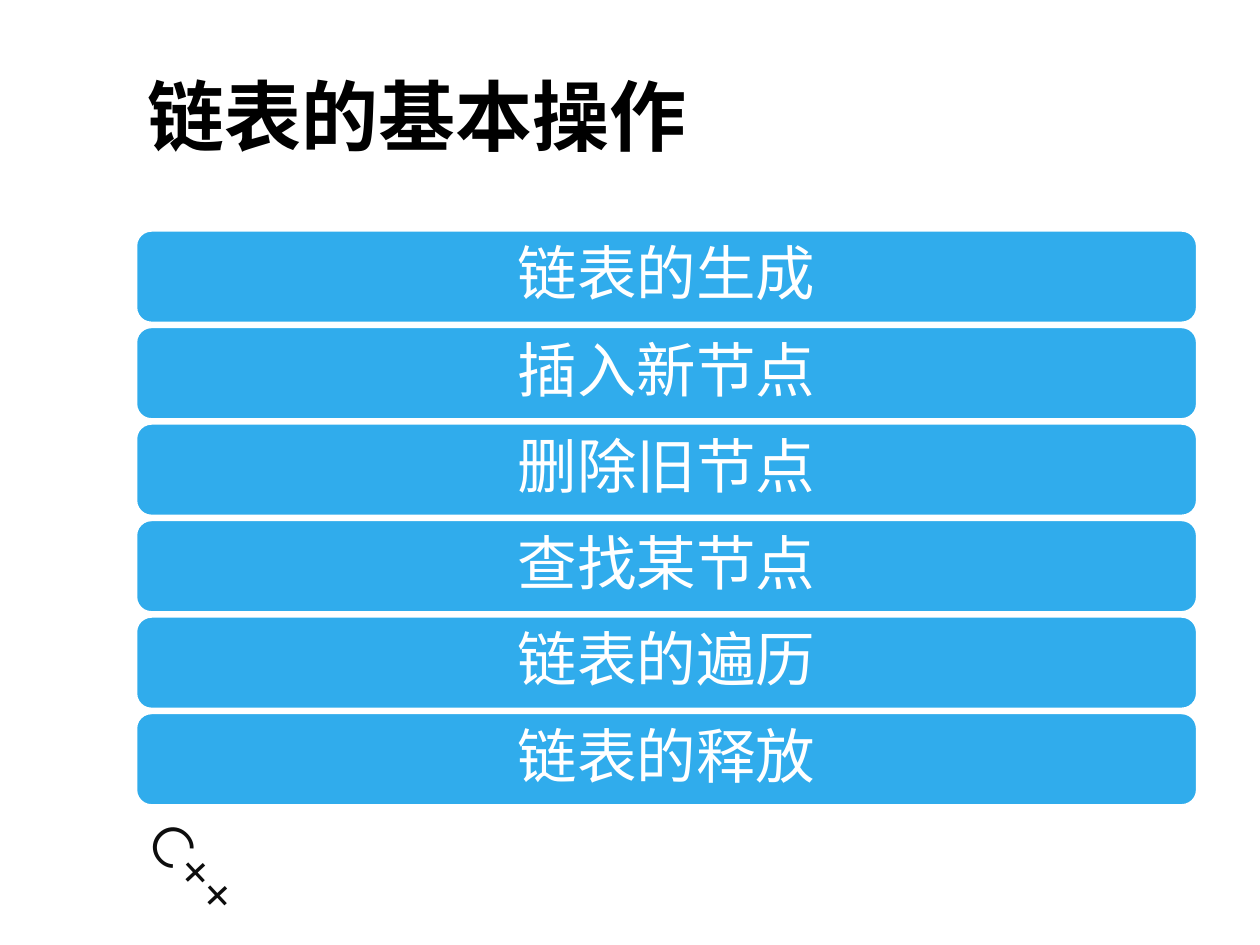
from dataclasses import dataclass

from pptx import Presentation
from pptx import util as u
from pptx.dml.color import RGBColor
from pptx.enum import shapes, text


@dataclass(frozen=True)
class Theme:
    bar: str = "30ACEC"
    white: str = "FFFFFF"
    title: str = "000000"
    mark: str = "0D0D0D"
    body_font: str = "Arial"
    mark_font: str = "Montserrat"
    title_size: float = 44
    bar_size: float = 34
    mark_size: float = 32
    outline: float = 1.25


THEME = Theme()
OPERATIONS = ["链表的生成", "插入新节点", "删除旧节点",
              "查找某节点", "链表的遍历", "链表的释放"]
BAR_LEFT, BAR_TOP, BAR_WIDTH, BAR_HEIGHT = 77.8, 131.8, 606.2, 52.6
BAR_PITCH = 55.15


def place(left, top, width, height):
    return [u.Pt(value) for value in (left, top, width, height)]


def write(shape, wording, color, frame_format, para_format, font_format):
    frame = shape.text_frame
    para = frame.paragraphs[0]
    span = para.add_run()
    span.text = wording
    for target, values in ((frame, frame_format), (para, para_format),
                           (span.font, font_format)):
        for name, value in values.items():
            setattr(target, name, value)
    span.font.color.rgb = RGBColor.from_string(color)


def add_title(page, wording):
    box = page.shapes.add_textbox(*place(77, 20.9, 607, 89.3))
    write(box, wording, THEME.title,
          {"word_wrap": True, "vertical_anchor": text.MSO_ANCHOR.MIDDLE},
          {},
          {"name": THEME.body_font, "size": u.Pt(THEME.title_size), "bold": True})


def add_bar(page, wording, top):
    bar = page.shapes.add_shape(shapes.MSO_SHAPE.ROUNDED_RECTANGLE,
                                *place(BAR_LEFT, top, BAR_WIDTH, BAR_HEIGHT))
    bar.shadow.inherit = False
    bar.fill.solid()
    bar.fill.fore_color.rgb = RGBColor.from_string(THEME.bar)
    bar.line.color.rgb = RGBColor.from_string(THEME.white)
    bar.line.width = u.Pt(THEME.outline)
    write(bar, wording, THEME.white,
          {"word_wrap": True, "vertical_anchor": text.MSO_ANCHOR.MIDDLE,
           "margin_left": u.Pt(10), "margin_right": u.Pt(10),
           "margin_top": u.Pt(5), "margin_bottom": u.Pt(5)},
          {"alignment": text.PP_ALIGN.CENTER, "line_spacing": 0.9},
          {"name": THEME.body_font, "size": u.Pt(THEME.bar_size)})


def add_corner_mark(page, wording):
    box = page.shapes.add_textbox(*place(67.7, 488.2, 115.9, 46))
    box.rotation = 46.9
    write(box, wording, THEME.mark,
          {"word_wrap": True, "auto_size": text.MSO_AUTO_SIZE.SHAPE_TO_FIT_TEXT},
          {},
          {"name": THEME.mark_font, "size": u.Pt(THEME.mark_size)})


def main():
    deck = Presentation()
    deck.slide_width, deck.slide_height = u.Pt(720), u.Pt(540)
    page = deck.slides.add_slide(deck.slide_layouts[6])
    add_corner_mark(page, "C++")
    add_title(page, "链表的基本操作")
    for row, operation in enumerate(OPERATIONS):
        add_bar(page, operation, BAR_TOP + row * BAR_PITCH)
    deck.save("out.pptx")


if __name__ == "__main__":
    main()
